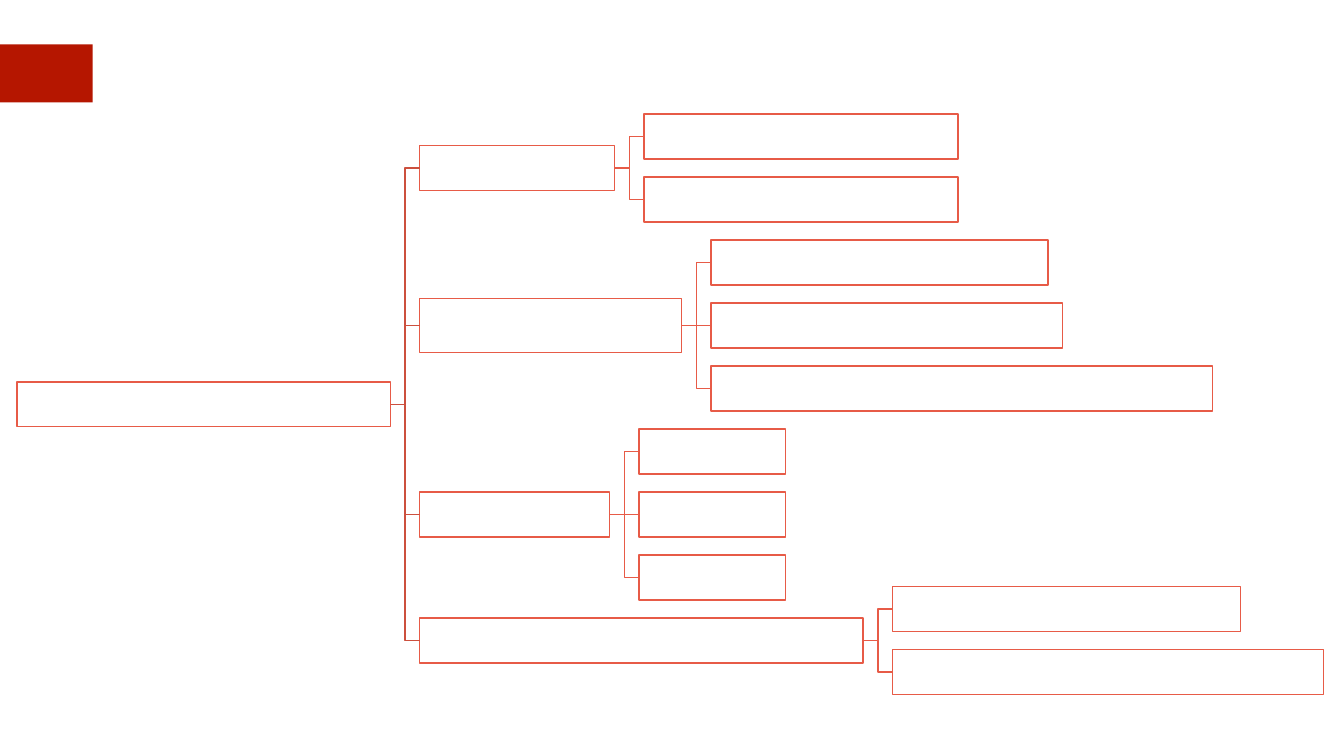
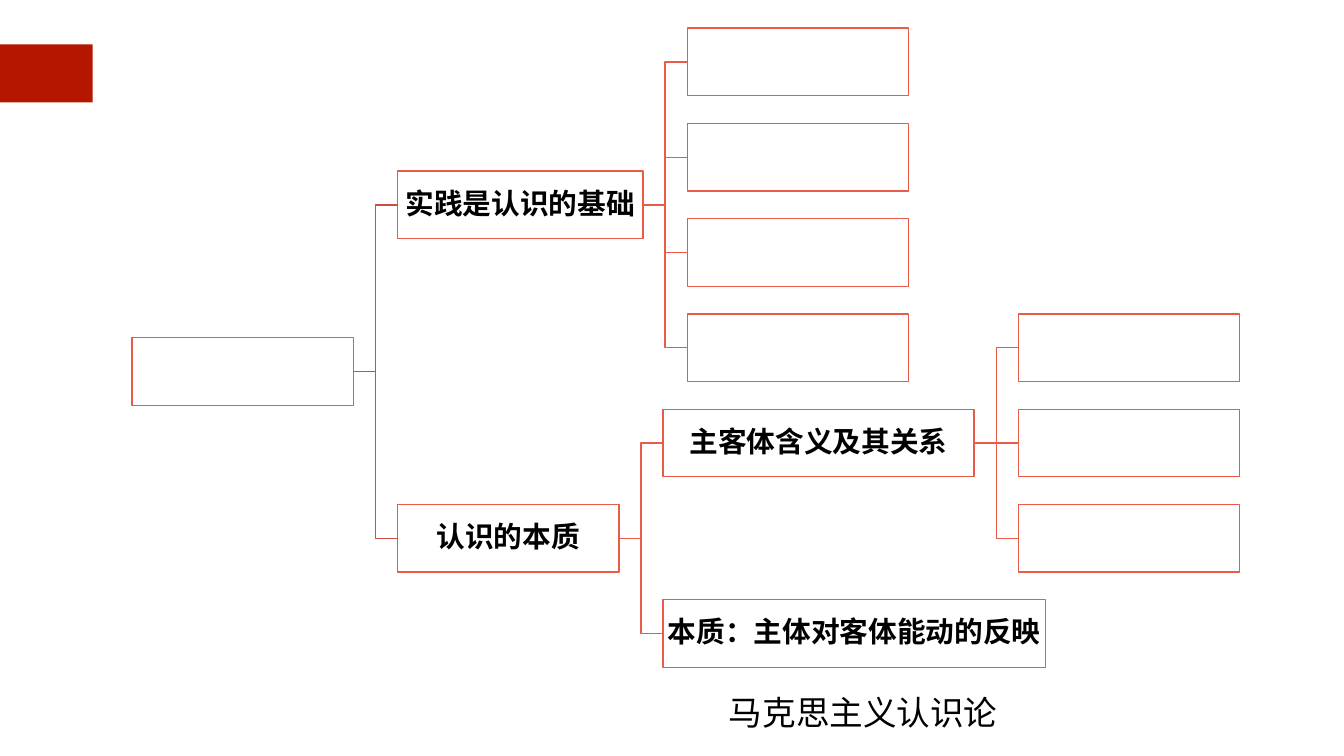
from dataclasses import dataclass, field

from lxml.etree import SubElement
from pptx import Presentation
from pptx.dml.color import RGBColor
from pptx.enum.shapes import MSO_CONNECTOR, MSO_SHAPE
from pptx.enum.text import MSO_ANCHOR, MSO_AUTO_SIZE, PP_ALIGN
from pptx.oxml.ns import qn
from pptx.util import Inches, Pt


@dataclass(frozen=True)
class Theme:
    band: RGBColor = RGBColor(0xB5, 0x16, 0x00)
    outline: RGBColor = RGBColor(0xE7, 0x5B, 0x47)
    trunk: RGBColor = RGBColor(0xCC, 0x50, 0x3E)
    paper: RGBColor = RGBColor(0xFF, 0xFF, 0xFF)
    ink: RGBColor = RGBColor(0x00, 0x00, 0x00)
    node_font: str = "Roboto"
    caption_font: str = "Noto Sans CJK SC"
    node_size: int = 41
    caption_size: int = 48
    line_width: int = 2


@dataclass
class Node:
    """A box in a tree; a parent is centred between its outer children."""
    width: float
    leaf_row: float = 0
    text: str = ""
    height: float | None = None
    children: list = field(default_factory=list)

    @property
    def row(self):
        if not self.children:
            return self.leaf_row
        return (self.children[0].row + self.children[-1].row) / 2


@dataclass(frozen=True)
class TreeGrid:
    left: float
    first_row: float
    pitch: float
    gap: float
    box_height: float


def write_text(frame, text, *, font, size, color, bold=False, inset=0.03, line_spacing=None):
    frame.word_wrap = True
    frame.vertical_anchor = MSO_ANCHOR.MIDDLE
    frame.margin_left = frame.margin_right = Inches(inset)
    frame.margin_top = frame.margin_bottom = Inches(inset)
    para = frame.paragraphs[0]
    para.alignment = PP_ALIGN.CENTER
    para.line_spacing = line_spacing
    span = para.add_run()
    span.text = text
    span.font.name = font
    span.font.size = Pt(size)
    span.font.bold = bold
    span.font.color.rgb = color


class Pages:
    def __init__(self, deck, theme):
        self.deck = deck
        self.theme = theme
        self.page = None

    def start(self):
        self.page = self.deck.slides.add_slide(self.deck.slide_layouts[6])
        self.box(-0.03, 0.88, 1.87, 1.15, fill=self.theme.band)

    def box(self, left, top, width, height, fill=None, line=None):
        box = self.page.shapes.add_shape(
            MSO_SHAPE.RECTANGLE, Inches(left), Inches(top), Inches(width), Inches(height))
        box.shadow.inherit = False
        if fill is None:
            box.fill.background()
        else:
            box.fill.solid()
            box.fill.fore_color.rgb = fill
        if line is None:
            box.line.fill.background()
        else:
            box.line.color.rgb = line
            box.line.width = Pt(self.theme.line_width)
        return box

    def link(self, parent, child, color, straight):
        kind = MSO_CONNECTOR.STRAIGHT if straight else MSO_CONNECTOR.ELBOW
        link = self.page.shapes.add_connector(kind, 0, 0, 0, 0)
        link.begin_connect(parent, 3)
        link.end_connect(child, 1)
        link.line.color.rgb = color
        link.line.width = Pt(self.theme.line_width)
        SubElement(link._element.spPr, qn("a:effectLst"))

    def tree(self, node, grid, left=None):
        is_root = left is None
        left = grid.left if is_root else left
        height = node.height or grid.box_height
        top = grid.first_row + node.row * grid.pitch - height / 2
        box = self.box(left, top, node.width, height, line=self.theme.outline,
                       fill=None if node.text else self.theme.paper)
        if node.text:
            write_text(box.text_frame, node.text, font=self.theme.node_font,
                       size=self.theme.node_size, color=self.theme.ink,
                       bold=True, line_spacing=0.9)
        color = self.theme.trunk if is_root else self.theme.outline
        for child in node.children:
            child_box = self.tree(child, grid, left + node.width + grid.gap)
            self.link(box, child_box, color, straight=child.row == node.row)
        return box

    def caption(self, text, left, top, width, height):
        box = self.page.shapes.add_textbox(
            Inches(left), Inches(top), Inches(width), Inches(height))
        write_text(box.text_frame, text, font=self.theme.caption_font,
                   size=self.theme.caption_size, color=self.theme.ink, inset=0.06)
        box.text_frame.auto_size = MSO_AUTO_SIZE.SHAPE_TO_FIT_TEXT


def leaves(first_row, *widths):
    return [Node(width, first_row + step) for step, width in enumerate(widths)]


def main():
    deck = Presentation()
    deck.slide_width, deck.slide_height = Inches(26.67), Inches(15)
    pages = Pages(deck, Theme())

    # Four-branch outline with empty boxes
    pages.start()
    outline = Node(7.41, children=[
        Node(3.87, children=leaves(0, 6.23, 6.23)),
        Node(5.2, height=1.08, children=leaves(2, 6.69, 6.97, 9.95)),
        Node(3.77, children=leaves(5, 2.91, 2.91, 2.91)),
        Node(8.8, children=leaves(7.5, 6.91, 8.56)),
    ])
    pages.tree(outline, TreeGrid(left=0.34, first_row=2.71, pitch=1.25,
                                 gap=0.58, box_height=0.89))

    # Theory of knowledge
    pages.start()
    box_width = 4.39
    knowledge = Node(box_width, children=[
        Node(4.87, text="实践是认识的基础", children=leaves(0, *[box_width] * 4)),
        Node(box_width, text="认识的本质", children=[
            Node(6.17, text="主客体含义及其关系", children=leaves(3, *[box_width] * 3)),
            Node(7.59, leaf_row=6, text="本质：主体对客体能动的反映"),
        ]),
    ])
    pages.tree(knowledge, TreeGrid(left=2.62, first_row=1.23, pitch=1.89,
                                   gap=0.88, box_height=1.34))
    pages.caption("马克思主义认识论", 12.91, 13.67, 8.44, 0.92)

    deck.save("out.pptx")


if __name__ == "__main__":
    main()
